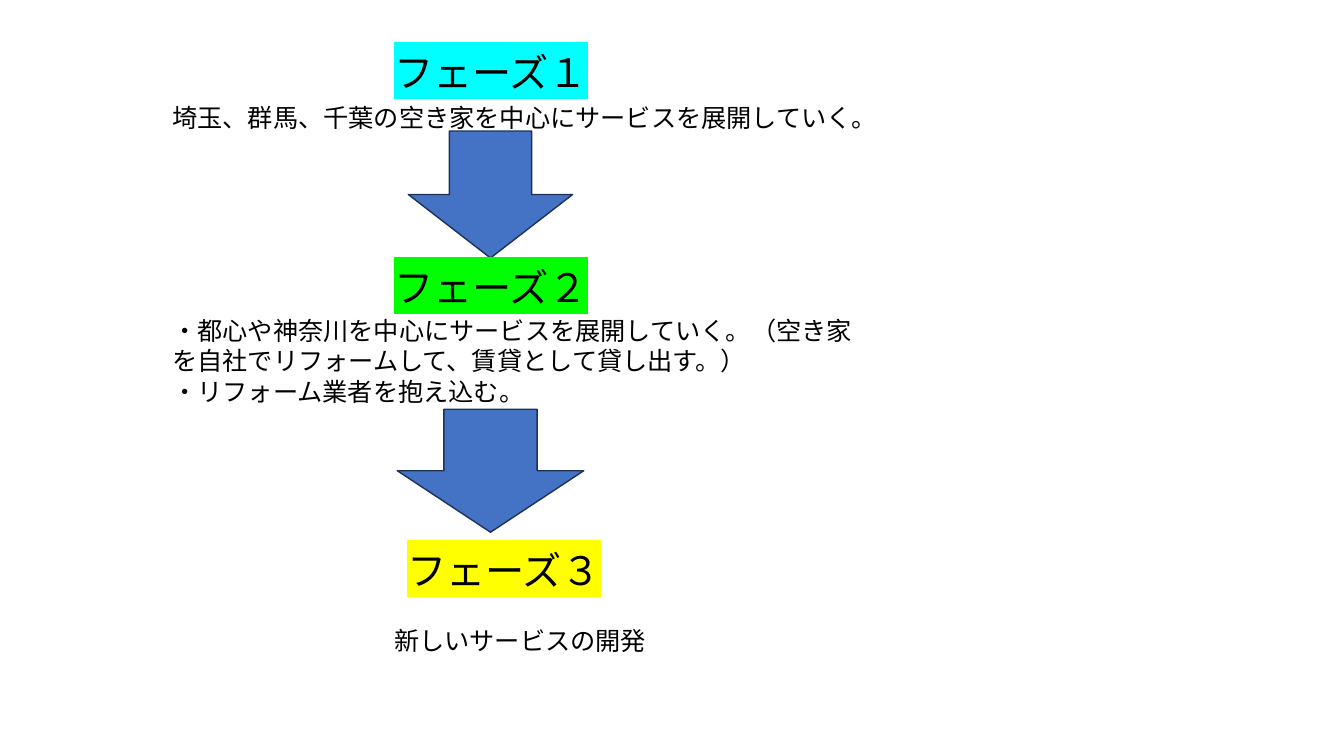
import pptx
import pptx.dml.color
import pptx.enum.shapes
import pptx.enum.text
import pptx.oxml
import pptx.oxml.ns
import pptx.util
from pptx.util import Inches

JAPANESE_FONT = "Noto Sans CJK JP"


def color(hex_text):
    """Turn a hex string into a colour."""
    return pptx.dml.color.RGBColor.from_string(hex_text)


def highlight(span, hex_text):
    """Put a marker colour behind a run that already has a fill."""
    mark = pptx.oxml.parse_xml(
        f'<a:highlight {pptx.oxml.ns.nsdecls("a")}>'
        f'<a:srgbClr val="{hex_text}"/></a:highlight>'
    )
    span.font.fill._xPr.find(pptx.oxml.ns.qn("a:solidFill")).addnext(mark)


def style_span(span, size, font_name):
    """Set size, colour and both the Latin and East Asian fonts of a run."""
    span.font.size = pptx.util.Pt(size)
    span.font.color.rgb = color("000000")
    span.font.name = font_name
    east_asian = pptx.oxml.parse_xml(
        f'<a:ea {pptx.oxml.ns.nsdecls("a")} typeface="{JAPANESE_FONT}"/>'
    )
    span._r.rPr.find(pptx.oxml.ns.qn("a:latin")).addnext(east_asian)


def add_text(page, place, text, size=18, font_name=JAPANESE_FONT):
    """Add a wrapping text box; each line of the text is a paragraph."""
    box = page.shapes.add_textbox(*map(Inches, place))
    box.text_frame.word_wrap = True
    box.text_frame.text = text
    for para in box.text_frame.paragraphs:
        for span in para.runs:
            style_span(span, size, font_name)
    return box


def add_phase(page, place, text, marker, font_name="Arial"):
    """Add a large phase heading with a marker colour."""
    box = add_text(page, place, text, 28, font_name)
    highlight(box.text_frame.paragraphs[0].runs[0], marker)
    return box


def add_down_arrow(page, place):
    """Add a blue block arrow that leads to the next phase."""
    arrow = page.shapes.add_shape(
        pptx.enum.shapes.MSO_SHAPE.DOWN_ARROW, *map(Inches, place)
    )
    arrow.shadow.inherit = False
    arrow.fill.solid()
    arrow.fill.fore_color.rgb = color("4472C4")
    arrow.line.color.rgb = color("1E3256")
    arrow.line.width = pptx.util.Pt(1)


def main():
    """Build the three-phase slide and save it."""
    deck = pptx.Presentation()
    deck.slide_width, deck.slide_height = Inches(13.33), Inches(7.5)
    page = deck.slides.add_slide(deck.slide_layouts[6])

    first = add_phase(page, (3.81, 0.02, 11.5, 1.45), "フェーズ１", "00FFFF", JAPANESE_FONT)
    first.text_frame.vertical_anchor = pptx.enum.text.MSO_ANCHOR.MIDDLE
    first.text_frame.paragraphs[0].line_spacing = 0.9
    add_down_arrow(page, (4.05, 1.3, 1.63, 1.26))
    add_text(page, (1.61, 0.97, 11.06, 0.4),
             "埼玉、群馬、千葉の空き家を中心にサービスを展開していく。")

    add_phase(page, (3.81, 2.56, 5.88, 0.57), "フェーズ２", "00FF00")
    add_text(page, (1.61, 3.08, 7.09, 1.01),
             "・都心や神奈川を中心にサービスを展開していく。（空き家を自社でリフォームして、"
             "賃貸として貸し出す。）\n・リフォーム業者を抱え込む。")
    add_down_arrow(page, (3.94, 4.06, 1.85, 1.22))

    add_phase(page, (3.94, 5.37, 2.78, 0.57), "フェーズ３", "FFFF00")
    add_text(page, (3.81, 6.15, 7.32, 0.4), "新しいサービスの開発")

    deck.save("out.pptx")


main()
